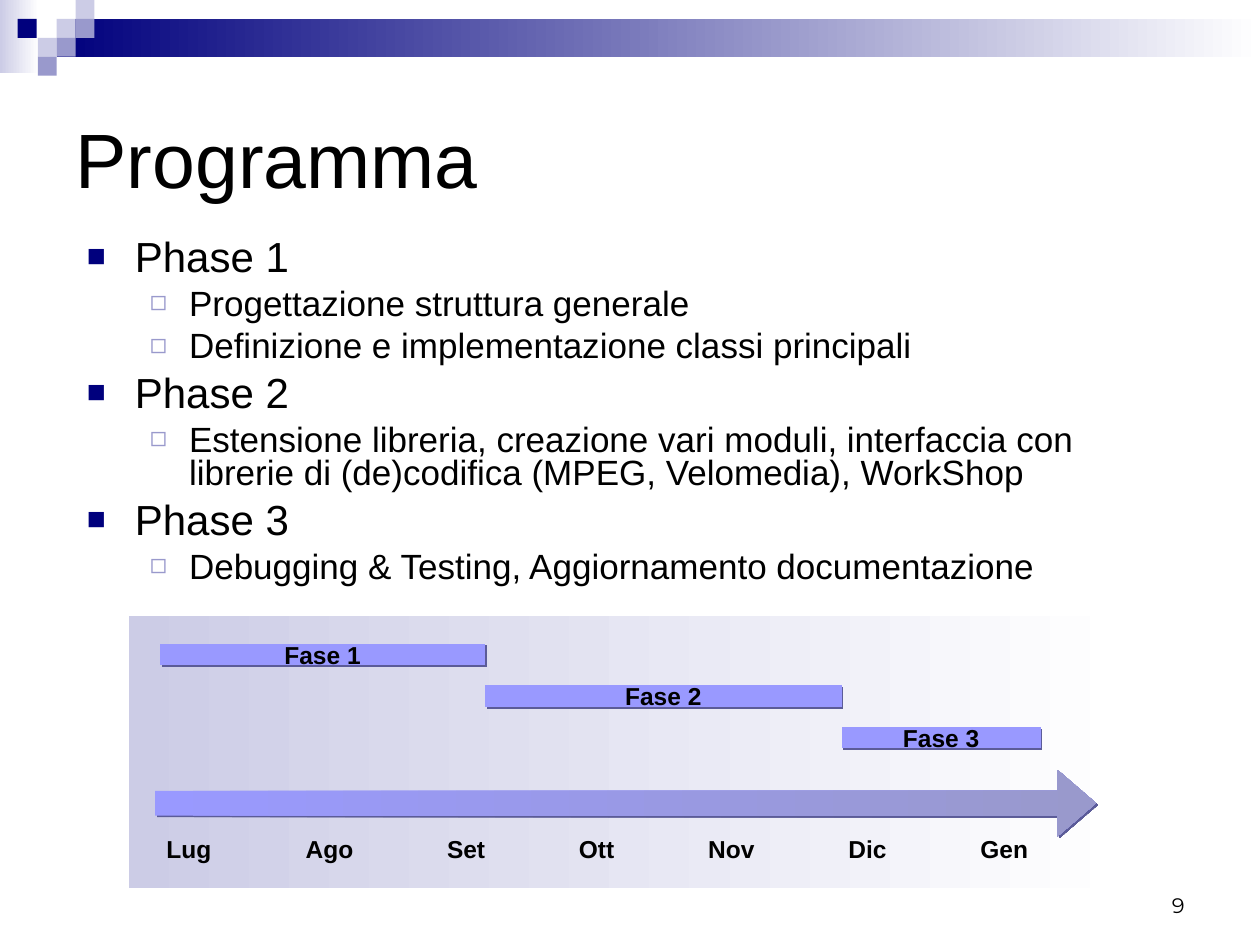
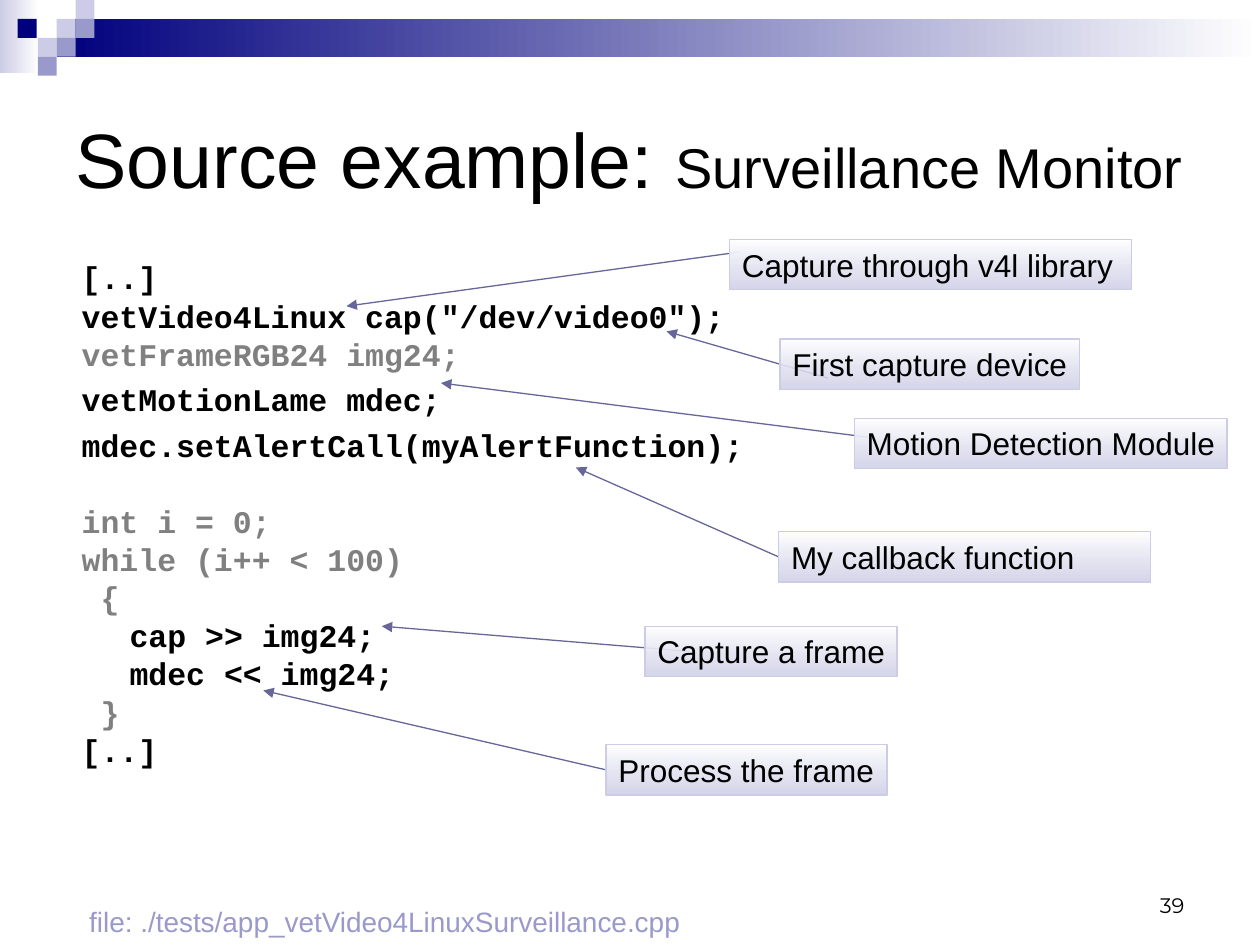
from pptx import Presentation
from pptx.dml.color import RGBColor
from pptx.enum.shapes import MSO_CONNECTOR, MSO_SHAPE
from pptx.enum.text import MSO_ANCHOR as Anchor, MSO_AUTO_SIZE as AutoSize, PP_ALIGN as Align
from pptx.oxml.ns import qn
from pptx.util import Inches, Pt
from lxml.etree import SubElement

BLACK = RGBColor(0x00, 0x00, 0x00)
WHITE = RGBColor(0xFF, 0xFF, 0xFF)
GREY = RGBColor(0x80, 0x80, 0x80)
NAVY = RGBColor(0x00, 0x00, 0x7D)
LAVENDER = RGBColor(0xCC, 0xCC, 0xE6)
LILAC = RGBColor(0x99, 0x99, 0xCC)
PERIWINKLE = RGBColor(0x99, 0x99, 0xFF)
SHADOW = RGBColor(0x5B, 0x5B, 0x98)
SLATE = RGBColor(0x66, 0x66, 0x99)

SANS, MONO, NUMERAL = "Arial", "Courier New", "Montserrat"

TITLE_BOX = (0.5, 0.5, 9, 1.5)
NUMBER_BOX = (7.17, 6.83, 2.33, 0.5)
SQUARE = 0.15
SQUARES = [
    (0.45, 0.15, LAVENDER), (0.6, 0, LAVENDER), (0.6, 0.15, LILAC), (0.3, 0.3, LAVENDER),
    (0.14, 0.15, NAVY), (0.45, 0.3, LILAC), (0.3, 0.45, LILAC),
]

PHASES = [
    ("Phase 1", ["Progettazione struttura generale",
                 "Definizione e implementazione classi principali"]),
    ("Phase 2", ["Estensione libreria, creazione vari moduli, interfaccia con librerie di "
                 "(de)codifica (MPEG, Velomedia), WorkShop"]),
    ("Phase 3", ["Debugging & Testing, Aggiornamento documentazione"]),
]
LEVELS = [
    dict(size=24, before=6, hang=0.38, margin=0.38, mark="■", mark_color=NAVY, mark_size=75),
    dict(size=20, before=5, hang=0.31, margin=0.81, mark="◻", mark_color=LILAC, mark_size=80),
]
PHASE_BARS = [("Fase 1", 2.58), ("Fase 2", 2.83), ("Fase 3", 1.58)]
MONTHS = [("Lug", 0.56), ("Ago", 0.58), ("Set", 0.5), ("Ott", 0.48),
          ("Nov", 0.57), ("Dic", 0.5), ("Gen", 0.58)]

CODE = [
    ("[..]", {}),
    ('vetVideo4Linux cap("/dev/video0");', {}),
    ("vetFrameRGB24 img24;", dict(color=GREY)),
    ("vetMotionLame mdec;", dict(spacing=1.0)),
    ("mdec.setAlertCall(myAlertFunction);", dict(spacing=1.0)),
    ("int i = 0;", dict(color=GREY, before=26)),
    ("while (i++ < 100)", dict(color=GREY)),
    (" {", dict(color=GREY)),
    ("cap >> img24;", dict(margin=0.38)),
    ("mdec << img24;", dict(margin=0.38)),
    (" }", dict(color=GREY)),
    ("[..]", {}),
]
CALLOUTS = [
    ("First capture device", (6.19, 2.69, 2.38), (6.57, 3), (5.29, 2.63)),
    ("Motion Detection Module", (6.78, 3.32, 2.96), (6.89, 3.47), (3.5, 3.04)),
    ("My callback function", (6.18, 4.22, 2.95), None, (4.57, 3.71)),
    ("Capture a frame", (5.12, 4.97, 2), (5.47, 5.17), (3.03, 4.97)),
    ("Process the frame", (4.81, 5.91, 2.23), None, (2.09, 5.48)),
    ("Capture through v4l library", (5.79, 1.9, 3.19), (5.87, 2), (2.75, 2.43)),
]
CALLOUT_HEIGHT = 0.4


def lengths(values):
    return [Inches(value) for value in values]


def write(paragraph, text, *, size, font=SANS, color=BLACK, bold=False, align=Align.LEFT,
          spacing=None, before=0, margin=0, hang=0, mark=None, mark_color=None, mark_size=100):
    properties = paragraph._p.get_or_add_pPr()
    properties.set("marL", str(Inches(margin)))
    properties.set("indent", str(-Inches(hang)))
    if mark:
        tint = SubElement(properties, qn("a:buClr"))
        SubElement(tint, qn("a:srgbClr"), val=str(mark_color))
        SubElement(properties, qn("a:buSzPct"), val=str(mark_size * 1000))
        SubElement(properties, qn("a:buFont"), typeface=SANS)
        SubElement(properties, qn("a:buChar"), char=mark)
    paragraph.alignment = align
    paragraph.line_spacing = spacing
    paragraph.space_before = Pt(before)
    run = paragraph.add_run()
    run.text = text
    run.font.name, run.font.size, run.font.bold = font, Pt(size), bold
    run.font.color.rgb = color


def prepare(shape, anchor=Anchor.TOP, wrap=True):
    frame = shape.text_frame
    frame.auto_size = AutoSize.NONE
    frame.word_wrap = wrap
    frame.vertical_anchor = anchor
    return frame


def write_lines(frame, lines):
    for index, (text, style) in enumerate(lines):
        paragraph = frame.add_paragraph() if index else frame.paragraphs[0]
        write(paragraph, text, **(style if index else {**style, "before": 0}))


def add_label(slide, text, box, anchor=Anchor.TOP, wrap=True, **style):
    label = slide.shapes.add_textbox(*lengths(box))
    write(prepare(label, anchor, wrap).paragraphs[0], text, **style)


def move(shape, box):
    shape.left, shape.top, shape.width, shape.height = lengths(box)


def fill_gradient(shape, first, last, angle=0):
    shape.fill.gradient()
    shape.fill.gradient_angle = angle
    for stop, color in zip(shape.fill.gradient_stops, (first, last)):
        stop.color.rgb = color


def add_block(slide, kind, box, color=None):
    block = slide.shapes.add_shape(kind, *lengths(box))
    block.shadow.inherit = False
    block.line.fill.background()
    if color is not None:
        block.fill.solid()
        block.fill.fore_color.rgb = color
    return block


def cast_shadow(shape):
    effects = shape.element.spPr.find(qn("a:effectLst"))
    cast = SubElement(effects, qn("a:outerShdw"), dist=str(Pt(1.4)), dir="2700000",
                      algn="tl", rotWithShape="0")
    SubElement(cast, qn("a:srgbClr"), val=str(SHADOW))


def decorate_master(deck, slide):
    corner = add_block(slide, MSO_SHAPE.RECTANGLE, (0, 0, 0.31, 0.58))
    fill_gradient(corner, LAVENDER, WHITE)
    band = add_block(slide, MSO_SHAPE.RECTANGLE, (0.45, 0.15, 9.55, 0.3))
    fill_gradient(band, NAVY, WHITE)
    squares = [add_block(slide, MSO_SHAPE.RECTANGLE, (left, top, SQUARE, SQUARE), color)
               for left, top, color in SQUARES]
    tree = deck.slide_master.element.cSld.spTree
    for index, part in enumerate([corner, band, *squares]):
        part.element.nvSpPr.cNvPr.set("id", str(100 + index))
        tree.insert(2 + index, part.element)


def add_title(slide, *pieces):
    move(slide.shapes.title, TITLE_BOX)
    heading = prepare(slide.shapes.title, Anchor.MIDDLE).paragraphs[0]
    for text, size in pieces:
        write(heading, text, size=size)


def add_number(slide, number):
    add_label(slide, number, NUMBER_BOX, Anchor.BOTTOM, size=12, font=NUMERAL, align=Align.RIGHT)


def add_phase_list(slide, box):
    body = slide.placeholders[1]
    move(body, box)
    lines, levels = [], []
    for phase, tasks in PHASES:
        for level, text in [(0, phase), *((1, task) for task in tasks)]:
            lines.append((text, {**LEVELS[level], "spacing": 0.8}))
            levels.append(level)
    frame = prepare(body)
    write_lines(frame, lines)
    for paragraph, level in zip(frame.paragraphs, levels):
        paragraph.level = level


def add_timeline(slide, box):
    left, top, _, _ = box
    panel = add_block(slide, MSO_SHAPE.RECTANGLE, box)
    fill_gradient(panel, LAVENDER, WHITE)

    start = left + 0.25
    for row, (phase, width) in enumerate(PHASE_BARS):
        bar_box = (start, top + 0.22 + 0.33 * row, width, 0.17)
        bar = add_block(slide, MSO_SHAPE.FLOWCHART_PROCESS, bar_box, PERIWINKLE)
        cast_shadow(bar)
        write(prepare(bar, Anchor.MIDDLE, False).paragraphs[0], phase,
              size=14, bold=True, align=Align.CENTER)
        start += width

    arrow = add_block(slide, MSO_SHAPE.RIGHT_ARROW, (left + 0.21, top + 1.22, 7.47, 0.53))
    arrow.adjustments[0], arrow.adjustments[1] = 0.37, 0.58
    fill_gradient(arrow, PERIWINKLE, LILAC)
    cast_shadow(arrow)

    month_left = left + 0.2
    gap = (7.04 - sum(width for _, width in MONTHS)) / (len(MONTHS) - 1)
    for month, width in MONTHS:
        add_label(slide, month, (month_left, top + 1.68, width, 0.34), wrap=False,
                  size=14, bold=True, align=Align.CENTER)
        month_left += width + gap


def add_code(slide, box):
    listing = slide.shapes.add_textbox(*lengths(box))
    base = dict(size=18, font=MONO, bold=True, spacing=0.8, before=4.5)
    write_lines(prepare(listing), [(text, {**base, **style}) for text, style in CODE])


def add_pointer(slide, start, end):
    pointer = slide.shapes.add_connector(MSO_CONNECTOR.STRAIGHT, *lengths(start + end))
    pointer.line.color.rgb = SLATE
    pointer.line.width = Pt(0.75)
    SubElement(pointer.line._get_or_add_ln(), qn("a:tailEnd"), type="triangle")
    SubElement(pointer.element.spPr, qn("a:effectLst"))
    return pointer


def add_callout(slide, text, box):
    callout = add_block(slide, MSO_SHAPE.RECTANGLE, box)
    fill_gradient(callout, WHITE, LAVENDER, 270)
    last_stop = list(callout.element.spPr.iter(qn("a:srgbClr")))[1]
    SubElement(last_stop, qn("a:alpha"), val="80000")
    callout.line.color.rgb = LAVENDER
    callout.line.width = Pt(0.75)
    frame = prepare(callout)
    frame.margin_right = Inches(0.02)
    write(frame.paragraphs[0], text, size=18)
    return callout


def add_callouts(slide):
    pointers = [add_pointer(slide, start or (left, top + CALLOUT_HEIGHT / 2), end)
                for _, (left, top, _), start, end in CALLOUTS]
    for pointer, (text, place, start, _) in zip(pointers, CALLOUTS):
        callout = add_callout(slide, text, (*place, CALLOUT_HEIGHT))
        if start is None:
            pointer.begin_connect(callout, 1)


def build_programme(slide):
    add_title(slide, ("Programma", 44))
    add_phase_list(slide, (0.59, 1.86, 8.58, 2.96))
    add_timeline(slide, (1.02, 4.89, 7.95, 2.16))
    add_number(slide, "9")


def build_source_example(slide):
    add_title(slide, ("Source example: ", 44), ("Surveillance Monitor", 32))
    add_code(slide, (0.55, 2.06, 9, 4.84))
    add_label(slide, "file: ./tests/app_vetVideo4LinuxSurveillance.cpp", (0.61, 7.18, 4.89, 0.32),
              wrap=False, size=16, color=LILAC, spacing=0.8)
    add_callouts(slide)
    add_number(slide, "39")


def main():
    deck = Presentation()
    deck.slide_width, deck.slide_height = Inches(10), Inches(7.5)
    programme = deck.slides.add_slide(deck.slide_layouts[1])
    decorate_master(deck, programme)
    build_programme(programme)
    build_source_example(deck.slides.add_slide(deck.slide_layouts[5]))
    deck.save("out.pptx")


if __name__ == "__main__":
    main()
